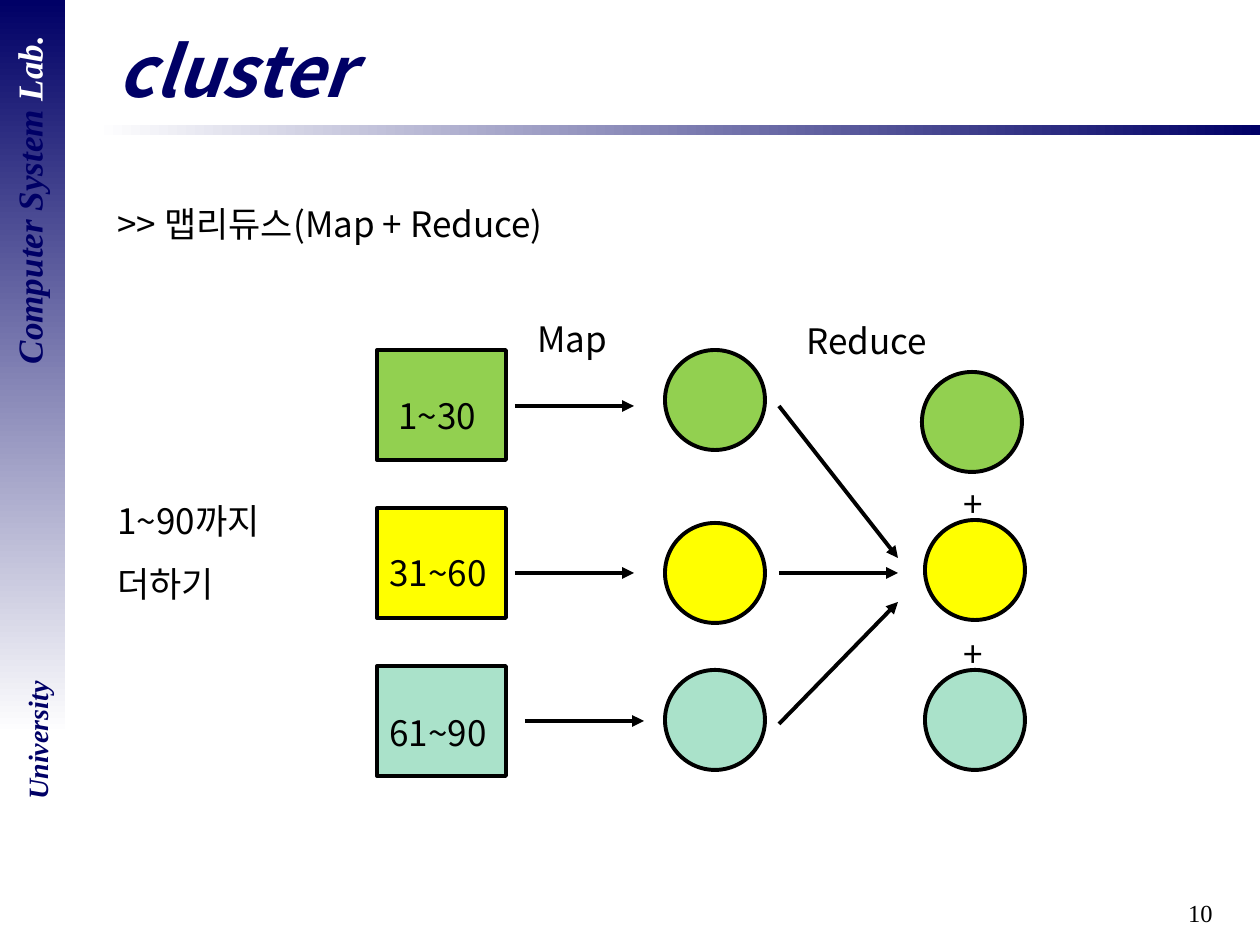
from dataclasses import dataclass

from lxml import etree
from pptx import Presentation
from pptx import util as u
from pptx.dml import color
from pptx.enum import shapes, text
from pptx.oxml import ns

PX_PER_INCH = 126


@dataclass(frozen=True)
class Theme:
    navy: str = "000066"
    white: str = "FFFFFF"
    black: str = "000000"
    green: str = "92D050"
    yellow: str = "FFFF00"
    mint: str = "AAE2CA"
    sans: str = "Noto Sans CJK KR"
    serif: str = "Times New Roman"
    title: int = 40
    body: int = 20
    school: int = 16
    number: int = 14
    stroke: float = 2.25
    leading: float = 1.5


def emu(*lengths):
    return [u.Inches(px / PX_PER_INCH) for px in lengths]


def rgb(value):
    return color.RGBColor.from_string(value)


class SlideBuilder:
    def __init__(self, slide, theme):
        self.slide = slide
        self.theme = theme

    def span(self, para, words, size, tint, font, strong=False):
        run = para.add_run()
        run.text = words
        run.font.size = u.Pt(size)
        run.font.name = font
        run.font.color.rgb = rgb(tint)
        run.font.bold = run.font.italic = strong
        east_asian = etree.SubElement(run.font._element, ns.qn("a:ea"))
        east_asian.set("typeface", font)

    def title(self, at, words):
        box = self.slide.shapes.title
        box.left, box.top, box.width, box.height = emu(*at)
        frame = box.text_frame
        frame.auto_size = text.MSO_AUTO_SIZE.NONE
        frame.vertical_anchor = text.MSO_ANCHOR.MIDDLE
        para = frame.paragraphs[0]
        para.alignment = text.PP_ALIGN.LEFT
        self.span(para, words, self.theme.title, self.theme.navy, self.theme.sans, True)

    def text_box(self, at):
        box = self.slide.shapes.add_textbox(*emu(*at))
        box.text_frame.word_wrap = True
        return box

    def label(self, at, *lines):
        box = self.text_box(at)
        frame = box.text_frame
        frame.auto_size = text.MSO_AUTO_SIZE.SHAPE_TO_FIT_TEXT
        for index, line in enumerate(lines):
            para = frame.add_paragraph() if index else frame.paragraphs[0]
            para.line_spacing = self.theme.leading
            self.span(para, line, self.theme.body, self.theme.black, self.theme.sans)

    def side_text(self, at, size, *spans):
        box = self.text_box(at)
        box.rotation = 270
        para = box.text_frame.paragraphs[0]
        para.alignment = text.PP_ALIGN.CENTER
        for words, tint in spans:
            self.span(para, words, size, tint, self.theme.serif, True)

    def page_number(self, at, words):
        para = self.text_box(at).text_frame.paragraphs[0]
        para.alignment = text.PP_ALIGN.RIGHT
        self.span(para, words, self.theme.number, self.theme.black, self.theme.serif)

    def shape(self, kind, at):
        shape = self.slide.shapes.add_shape(kind, *emu(*at))
        shape.shadow.inherit = False
        return shape

    def band(self, at, start, end, angle):
        band = self.shape(shapes.MSO_SHAPE.RECTANGLE, at)
        band.line.fill.background()
        band.fill.gradient()
        band.fill.gradient_angle = angle
        for stop, tint in zip(band.fill.gradient_stops, (start, end)):
            stop.color.rgb = rgb(tint)

    def node(self, kind, at, tint):
        node = self.shape(kind, at)
        node.fill.solid()
        node.fill.fore_color.rgb = rgb(tint)
        node.line.color.rgb = rgb(self.theme.black)
        node.line.width = u.Pt(self.theme.stroke)

    def arrow(self, start, end):
        arrow = self.slide.shapes.add_connector(
            shapes.MSO_CONNECTOR.STRAIGHT, *emu(*start, *end)
        )
        arrow.line.color.rgb = rgb(self.theme.black)
        arrow.line.width = u.Pt(self.theme.stroke)
        head = etree.SubElement(arrow.line._get_or_add_ln(), ns.qn("a:tailEnd"))
        head.set("type", "triangle")
        etree.SubElement(arrow._element.spPr, ns.qn("a:effectLst"))


def main():
    deck = Presentation()
    deck.slide_width, deck.slide_height = u.Inches(10), u.Inches(7.5)
    theme = Theme()
    page = SlideBuilder(deck.slides.add_slide(deck.slide_layouts[5]), theme)

    page.band((95, 125, 1165, 10), theme.white, theme.navy, 0)
    page.band((0, 0, 65, 735), theme.navy, theme.white, 270)
    page.side_text((-165, 173, 387, 54), theme.body,
                   ("Computer System ", theme.navy), ("Lab.", theme.white))
    page.side_text((-52, 717, 179, 47), theme.school, ("University", theme.navy))
    page.page_number((963, 892, 262, 53), "10")
    page.title((105, 21, 1121, 97), "cluster")
    page.label((105, 175, 1121, 67), ">> 맵리듀스(Map + Reduce)")
    page.label((105, 472, 207, 130), "1~90까지", "더하기")
    page.label((525, 290, 105, 67), "Map")
    page.label((794, 292, 156, 67), "Reduce")

    square, circle = shapes.MSO_SHAPE.RECTANGLE, shapes.MSO_SHAPE.OVAL
    diameter, arrow_run, reduce_left = 100, 119, 779
    rows = [
        (theme.green, "1~30", (386, 367), (515, 406), 350, (922, 372), (406, 558)),
        (theme.yellow, "31~60", (377, 524), (515, 573), 523, (925, 520), (573, 573)),
        (theme.mint, "61~90", (377, 684), (525, 721), 670, (925, 670), (724, 602)),
    ]
    for index, row in enumerate(rows):
        tint, numbers, label_at, map_start, mapped_top, result_at, reduce_y = row
        page.node(square, (377, 350 + 158 * index, 129, 110), tint)
        page.label((*label_at, 155, 67), numbers)
        page.arrow(map_start, (map_start[0] + arrow_run, map_start[1]))
        page.node(circle, (665, mapped_top, diameter, diameter), tint)
        page.arrow((reduce_left, reduce_y[0]), (reduce_left + arrow_run, reduce_y[1]))
        page.node(circle, (*result_at, diameter, diameter), tint)
    for plus_top in (455, 605):
        page.label((951, plus_top, 43, 67), "+")

    deck.save("out.pptx")


if __name__ == "__main__":
    main()
